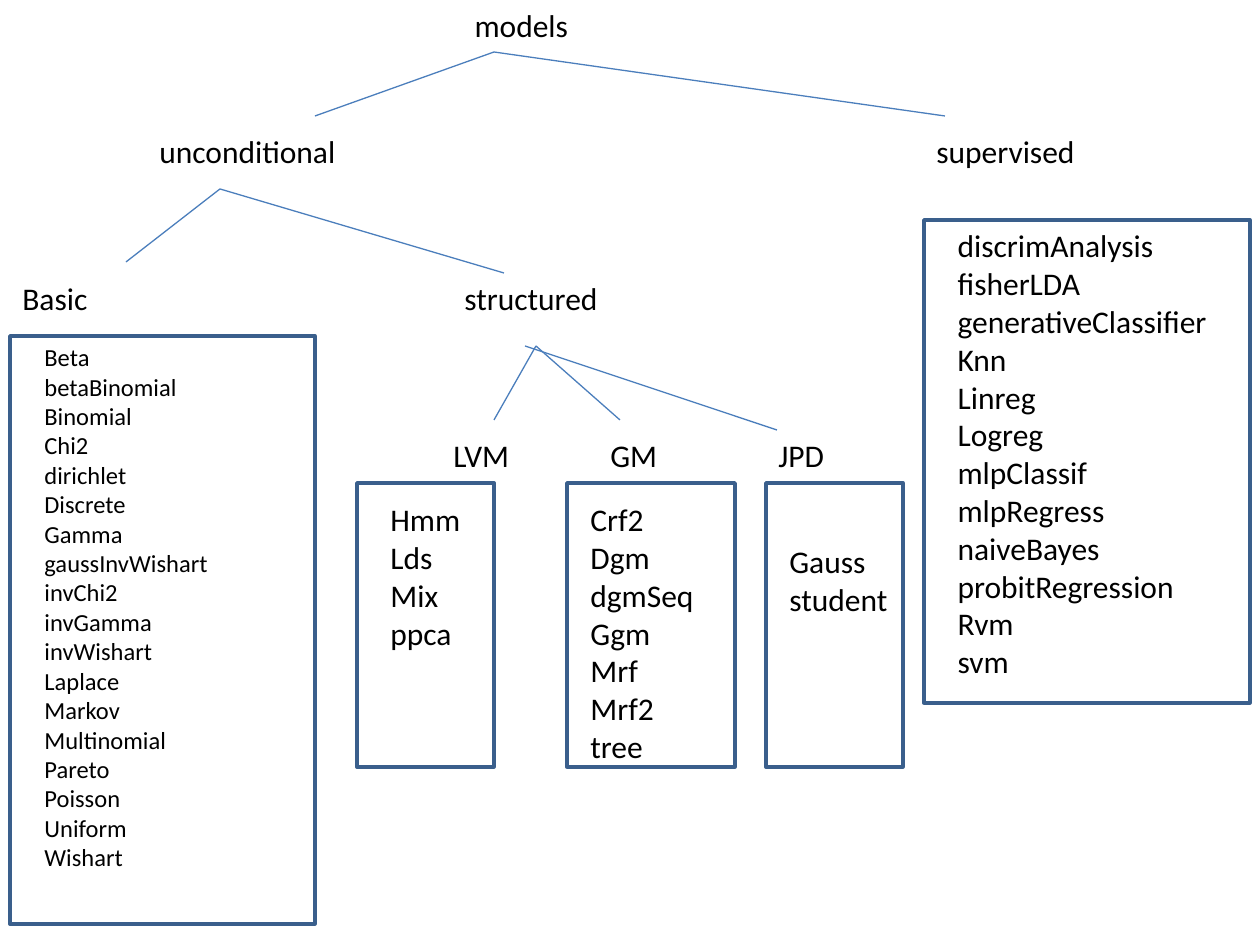
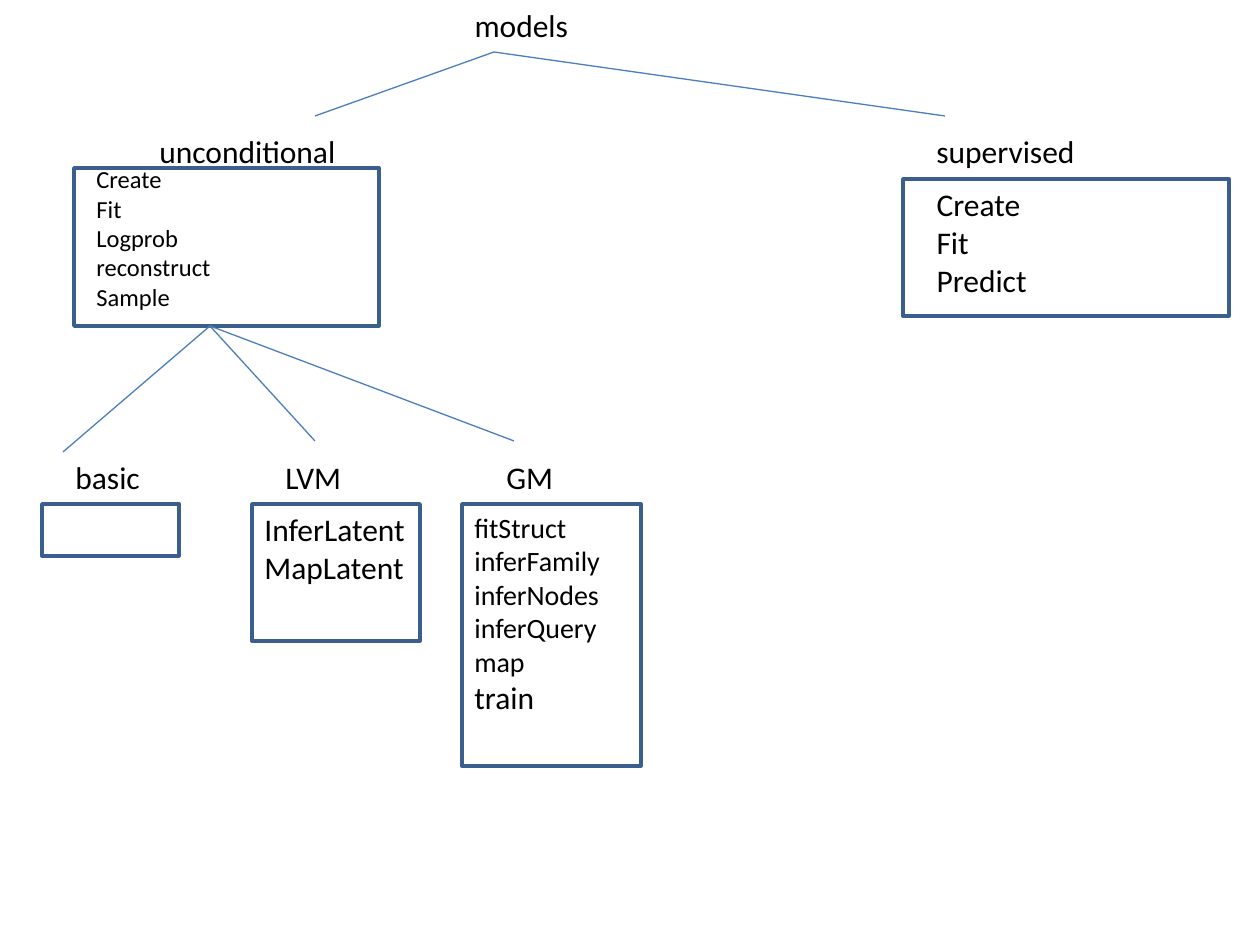
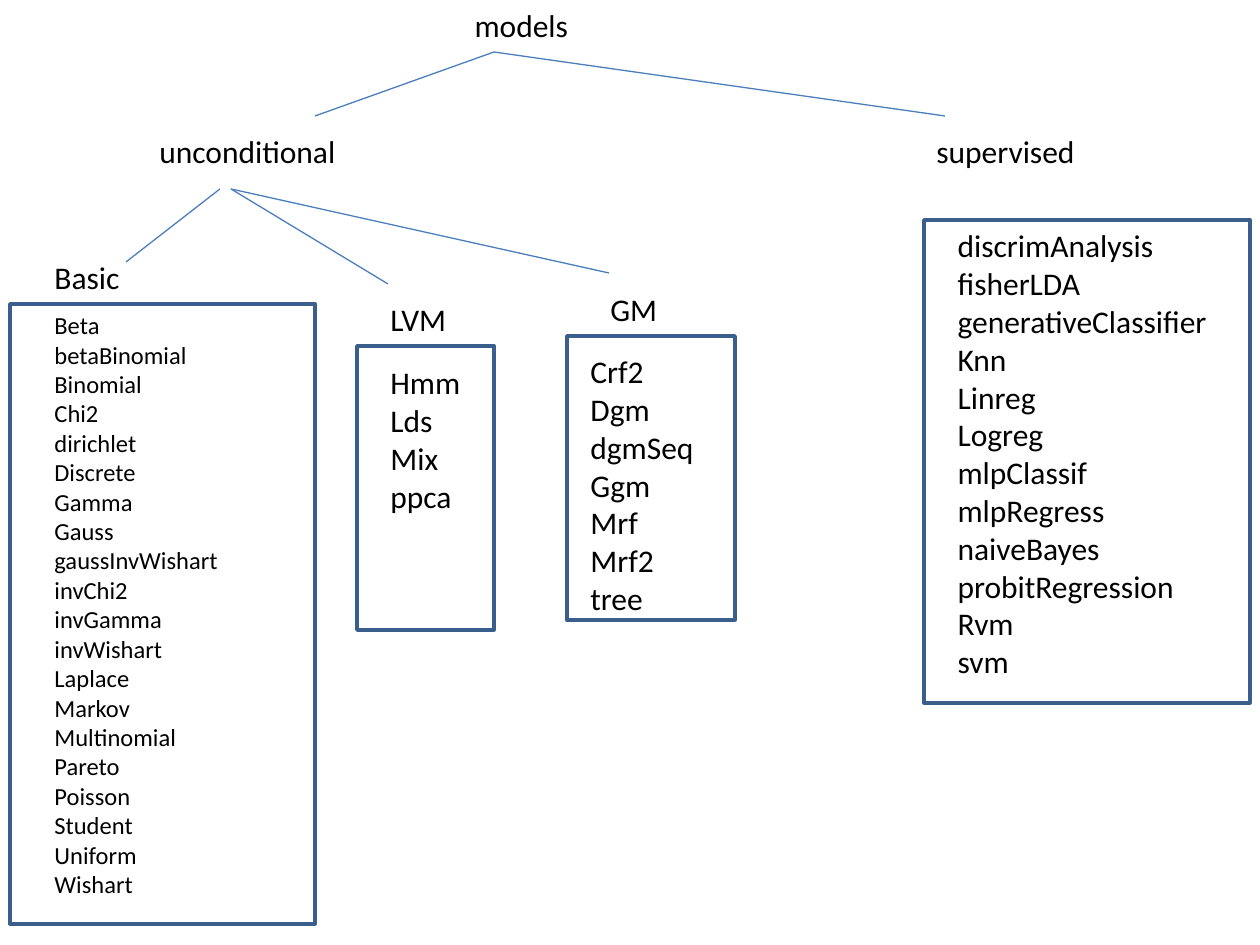
"""Build three tree diagrams of a family of probability models."""
from dataclasses import dataclass

import pptx
import pptx.dml.color
import pptx.enum.shapes
import pptx.enum.text
import pptx.oxml
import pptx.oxml.ns
import pptx.presentation
import pptx.shapes.base
import pptx.slide
import pptx.util

PIXEL = pptx.util.Inches(1) // 126
SLIDE_WIDTH, SLIDE_HEIGHT = 1260, 945
FONT = "Calibri"
COLOURS = {"text": "000000", "frame": "3A5F8C", "branch": "4B7EBC"}
LINE_PITCH = 2.12  # pixels of line height per point of text
INSETS = 13  # top and bottom insets together

Point = tuple[int, int]


@dataclass(frozen=True)
class Words:
    """One text block; rows is the room reserved when above the line count."""
    lines: tuple[str, ...]
    left: int
    top: int
    width: int
    size: int = 18
    wrap: bool = False
    rows: int = 0
    last_size: int = 0


@dataclass(frozen=True)
class Frame:
    """An outlined rectangle around a list."""
    left: int
    top: int
    width: int
    height: int


@dataclass(frozen=True)
class Fan:
    """Branches that leave one point."""
    start: Point
    ends: tuple[Point, ...]


@dataclass(frozen=True)
class Tree:
    """What one slide adds below the shared root."""
    supervised: Words
    frames: tuple[Frame, ...]
    words: tuple[Words, ...]
    fans: tuple[Fan, ...]


def px(length: float) -> pptx.util.Emu:
    """Turn pixels into EMU."""
    return pptx.util.Emu(round(length * PIXEL))


def colour(name: str) -> pptx.dml.color.RGBColor:
    """Look up a colour of the palette."""
    return pptx.dml.color.RGBColor.from_string(COLOURS[name])


def write(holder: pptx.shapes.base.BaseShape, words: Words) -> None:
    """Place a text holder and fill it run by run, without bullets."""
    sizes = [words.size] * len(words.lines)
    sizes[-1] = words.last_size or words.size
    spare = max(0, words.rows - len(sizes)) * words.size
    holder.left, holder.top = px(words.left), px(words.top)
    holder.width = px(words.width)
    holder.height = px(INSETS + (sum(sizes) + spare) * LINE_PITCH)
    frame = holder.text_frame
    frame.word_wrap = words.wrap
    frame.auto_size = pptx.enum.text.MSO_AUTO_SIZE.SHAPE_TO_FIT_TEXT
    frame.vertical_anchor = pptx.enum.text.MSO_ANCHOR.TOP
    for index, (line, size) in enumerate(zip(words.lines, sizes)):
        paragraph = frame.add_paragraph() if index else frame.paragraphs[0]
        paragraph.alignment = pptx.enum.text.PP_ALIGN.LEFT
        paragraph.space_before = pptx.util.Pt(0)
        properties = paragraph._p.get_or_add_pPr()
        properties.set("marL", "0")
        properties.set("indent", "0")
        properties.append(pptx.oxml.parse_xml(
            f"<a:buNone {pptx.oxml.ns.nsdecls('a')}/>"))
        run = paragraph.add_run()
        run.text = line
        run.font.name = FONT
        run.font.size = pptx.util.Pt(size)
        run.font.color.rgb = colour("text")


def draw_words(slide: pptx.slide.Slide, words: Words) -> None:
    """Add a text box."""
    write(slide.shapes.add_textbox(0, 0, 0, 0), words)


def draw_frame(slide: pptx.slide.Slide, frame: Frame) -> None:
    """Add an unfilled rectangle."""
    outline = slide.shapes.add_shape(
        pptx.enum.shapes.MSO_SHAPE.RECTANGLE,
        px(frame.left), px(frame.top), px(frame.width), px(frame.height))
    outline.shadow.inherit = False
    outline.fill.background()
    outline.line.color.rgb = colour("frame")
    outline.line.width = pptx.util.Pt(2)


def draw_fan(slide: pptx.slide.Slide, fan: Fan) -> None:
    """Add one line from the start to each end."""
    for end in fan.ends:
        branch = slide.shapes.add_connector(
            pptx.enum.shapes.MSO_CONNECTOR.STRAIGHT,
            px(fan.start[0]), px(fan.start[1]), px(end[0]), px(end[1]))
        branch.line.color.rgb = colour("branch")
        branch.line.width = pptx.util.Pt(0.75)
        branch._element.spPr.append(pptx.oxml.parse_xml(
            f"<a:effectLst {pptx.oxml.ns.nsdecls('a')}/>"))


ROOT = Words(("models",), 462, 0, 120)
ROOT_CHILDREN = (
    Words(("unconditional",), 147, 126, 204),
    Words(("supervised",), 924, 126, 192, wrap=True),
)
ROOT_FAN = Fan((494, 52), ((315, 116), (945, 116)))


def draw_tree(deck: pptx.presentation.Presentation, tree: Tree) -> None:
    """Add a slide with the shared root and the parts of one tree."""
    slide = deck.slides.add_slide(deck.slide_layouts[1])
    write(slide.shapes.title, ROOT)
    write(slide.placeholders[1], tree.supervised)
    for frame in tree.frames:
        draw_frame(slide, frame)
    for words in ROOT_CHILDREN + tree.words:
        draw_words(slide, words)
    for fan in (ROOT_FAN,) + tree.fans:
        draw_fan(slide, fan)


BASIC = ("Beta", "betaBinomial", "Binomial", "Chi2", "dirichlet", "Discrete",
         "Gamma", "gaussInvWishart", "invChi2", "invGamma", "invWishart",
         "Laplace", "Markov", "Multinomial", "Pareto", "Poisson", "Uniform",
         "Wishart")
BASIC_WITH_JOINT = tuple(sorted(BASIC + ("Gauss", "Student"), key=str.casefold))
SUPERVISED = Words(
    ("discrimAnalysis", "fisherLDA", "generativeClassifier", "Knn", "Linreg",
     "Logreg", "mlpClassif", "mlpRegress", "naiveBayes", "probitRegression",
     "Rvm", "svm"), 945, 220, 277)
SUPERVISED_FRAME = Frame(924, 220, 326, 483)


def lvm_list(top: int) -> Words:
    """List the latent variable models."""
    return Words(("Hmm", "Lds", "Mix", "ppca"), 378, top, 96)


def gm_list(top: int) -> Words:
    """List the graphical models."""
    return Words(("Crf2", "Dgm", "dgmSeq", "Ggm", "Mrf", "Mrf2", "tree"),
                 578, top, 130, rows=8)


def lvm_frame(top: int) -> Frame:
    """Frame the latent variable models."""
    return Frame(357, top, 137, 284)


def gm_frame(top: int) -> Frame:
    """Frame the graphical models."""
    return Frame(567, top, 168, 284)


TREES = (
    Tree(
        SUPERVISED,
        (SUPERVISED_FRAME, Frame(10, 336, 305, 588), lvm_frame(483),
         gm_frame(483), Frame(766, 483, 137, 284)),
        (Words(("Basic",), 10, 273, 91),
         Words(("structured",), 452, 273, 242, wrap=True),
         Words(BASIC, 32, 336, 262, 14, wrap=True, rows=19),
         Words(("LVM",), 441, 430, 82),
         Words(("GM",), 598, 430, 73),
         Words(("JPD",), 766, 430, 97, wrap=True),
         lvm_list(494), gm_list(494),
         Words(("Gauss", "student"), 777, 536, 125)),
        (Fan((220, 189), ((126, 262), (504, 273))),
         Fan((536, 346), ((494, 420), (620, 420))),
         Fan((525, 346), ((777, 430),))),
    ),
    Tree(
        Words(("Create", "Fit", "Predict"), 924, 179, 116),
        (Frame(903, 179, 326, 137), Frame(74, 168, 305, 158),
         Frame(252, 504, 168, 137), Frame(462, 504, 179, 262),
         Frame(42, 504, 137, 52)),
        (Words(("Create", "Fit", "Logprob", "reconstruct", "Sample"),
               84, 158, 262, 14, wrap=True),
         Words(("basic",), 63, 452, 189, wrap=True),
         Words(("LVM",), 273, 452, 82),
         Words(("GM",), 494, 452, 73),
         Words(("InferLatent", "MapLatent"), 252, 504, 168),
         Words(("fitStruct", "inferFamily", "inferNodes", "inferQuery", "map",
                "train"), 462, 504, 168, 16, wrap=True, last_size=18)),
        (Fan((210, 326), ((63, 452), (315, 441), (514, 441))),),
    ),
    Tree(
        SUPERVISED,
        (SUPERVISED_FRAME, Frame(10, 304, 305, 620), lvm_frame(346),
         gm_frame(336)),
        (Words(("Basic",), 42, 252, 158, wrap=True),
         Words(BASIC_WITH_JOINT, 42, 304, 262, 14, wrap=True),
         Words(("LVM",), 378, 294, 82),
         Words(("GM",), 598, 284, 73),
         lvm_list(357), gm_list(346)),
        (Fan((220, 189), ((126, 262),)),
         Fan((231, 189), ((388, 284), (609, 273)))),
    ),
)


def main() -> None:
    """Build and save the deck."""
    deck = pptx.Presentation()
    deck.slide_width, deck.slide_height = px(SLIDE_WIDTH), px(SLIDE_HEIGHT)
    for tree in TREES:
        draw_tree(deck, tree)
    deck.save("out.pptx")


main()
